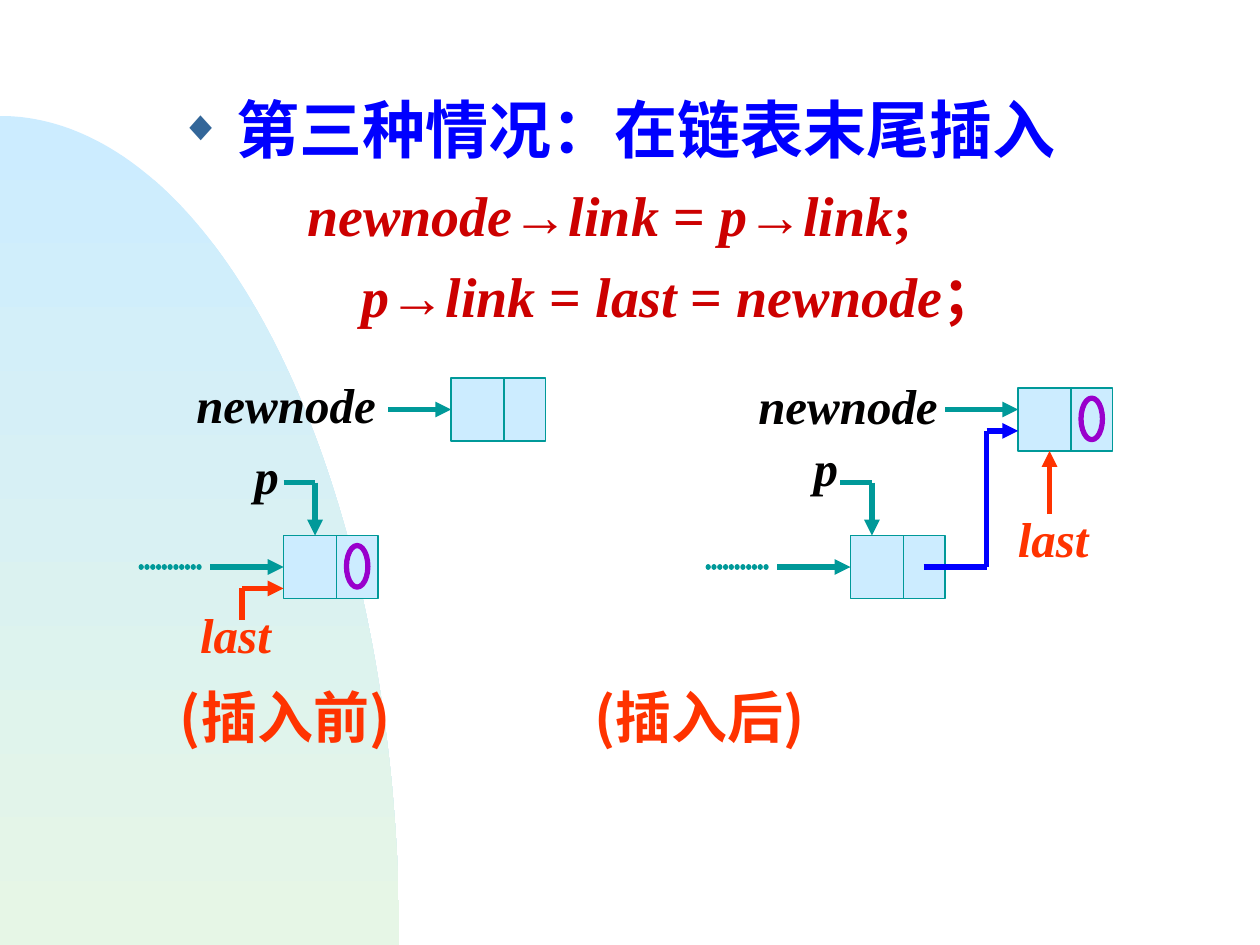
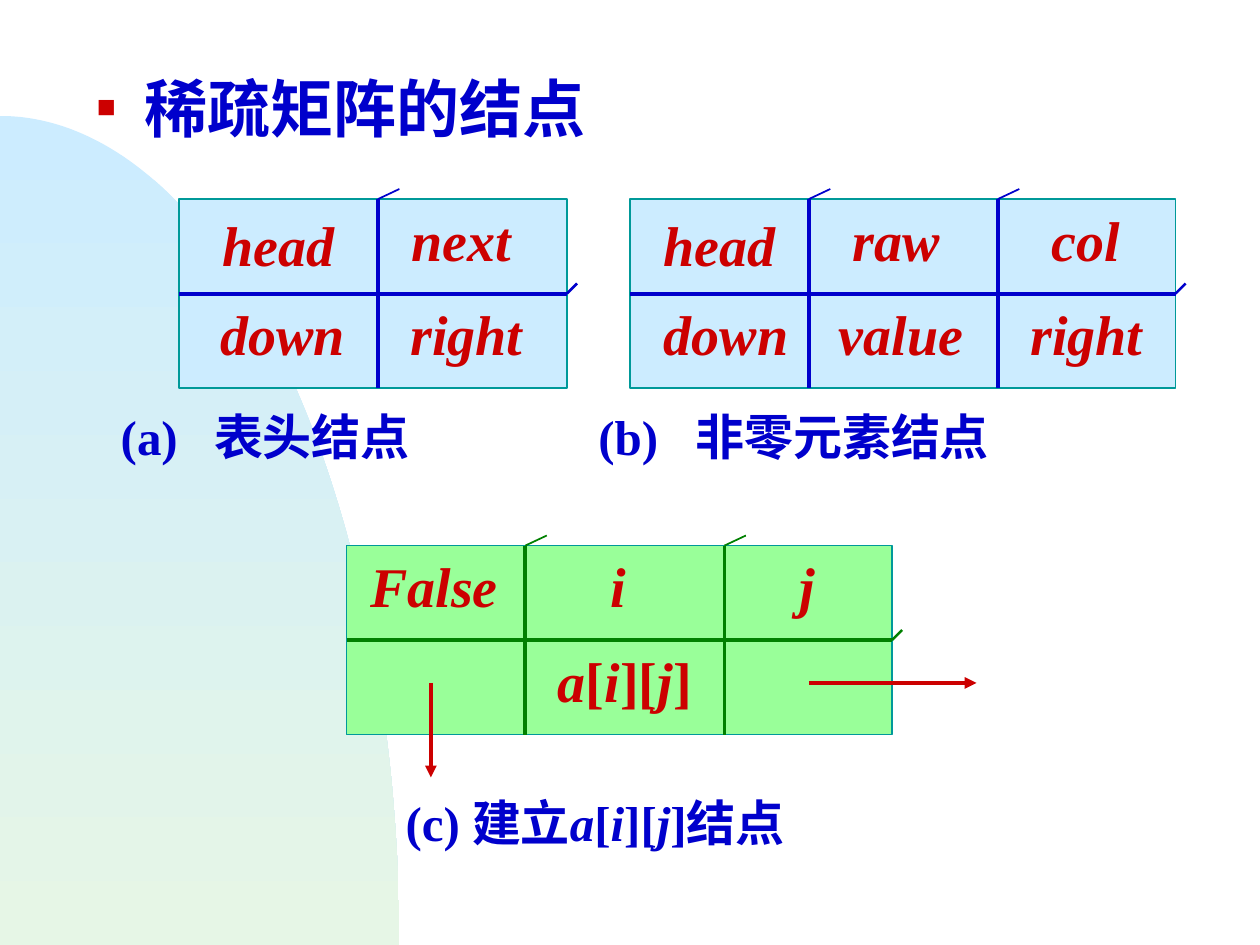
from math import cos, pi, sin

from lxml import etree
from pptx import Presentation
from pptx.dml.color import RGBColor
from pptx.enum.shapes import MSO_CONNECTOR, MSO_SHAPE
from pptx.enum.text import PP_ALIGN
from pptx.oxml.ns import qn
from pptx.util import Inches, Pt

COLORS = {
    "sky": "CCECFF", "mint": "E6F6E6", "teal": "009999", "black": "010000",
    "red": "CC0000", "orange": "FF3300", "blue": "0000FF", "navy": "0000CC",
    "purple": "9900CC", "steel": "336699", "lime": "99FF99", "green": "008000",
}
SERIF, SANS = "Times New Roman", "Noto Sans CJK SC"
LEFT, RIGHT = 1, 3  # connection sites of a rectangle
LABEL_SLACK = 0.12  # spare width that keeps a label on one line

# Slide 1: insertion at the end of a linked list. Text between * is italic.
INSERT_TITLE = "第三种情况：在链表末尾插入"
INSERT_CODE = [  # left margin, statement
    (1.51, "*newnode*→*link* = *p*→*link*;"),
    (1.94, "*p*→*link* = *last* = *newnode*；"),
]
CAPTIONS = [(1.33, "(插入前)"), (4.62, "(插入后)")]
NODE_W, NODE_H, DATA_W = 0.75, 0.5, 0.42
LIST_NODES = {  # left, top, holds a null link
    "new before": (3.58, 3, False),
    "tail before": (2.25, 4.25, True),
    "tail after": (6.75, 4.25, False),
    "new after": (8.08, 3.08, True),
}
POINTER_LABELS = [  # text, left, top, width, colour
    ("newnode", 1.46, 2.92, 1.62, "black"),
    ("newnode", 5.92, 2.93, 1.62, "black"),
    ("p", 1.92, 3.49, 0.39, "black"),
    ("p", 6.36, 3.42, 0.39, "black"),
    ("last", 1.49, 4.75, 0.76, "orange"),
    ("last", 7.98, 3.99, 0.76, "orange"),
]
POINTERS = [  # colour, corner points, node joined at its left side
    ("teal", [(3.08, 3.25), (3.58, 3.25)], "new before"),
    ("teal", [(1.67, 4.5), (2.25, 4.5)], "tail before"),
    ("teal", [(6.17, 4.5), (6.75, 4.5)], "tail after"),
    ("teal", [(7.5, 3.25), (8.08, 3.25)], None),
    ("teal", [(2.25, 3.83), (2.5, 3.83), (2.5, 4.25)], None),
    ("teal", [(6.67, 3.83), (6.92, 3.83), (6.92, 4.25)], None),
    ("orange", [(1.92, 4.92), (1.92, 4.67), (2.25, 4.67)], None),
    ("orange", [(8.33, 4.08), (8.33, 3.58)], None),
    ("blue", [(7.33, 4.5), (7.83, 4.5), (7.83, 3.42), (8.08, 3.42)], None),
]
EARLIER_NODES = [1.08, 5.58]  # left ends of the dotted lines

# Slide 2: the nodes of a sparse matrix.
MATRIX_TITLE = "稀疏矩阵的结点"
MATRIX_NODES = [
    dict(left=1.42, top=1.58, width=3.08, dividers=[3], fill="sky", rule="navy",
         fields=[("*head*", 1.67, 1.62, 1.09), ("*next*", 3.17, 1.58, 0.99),
                 ("*down*", 1.65, 2.33, 1.19), ("*right*", 3.16, 2.33, 1.09)]),
    dict(left=5, top=1.58, width=4.33, dividers=[6.42, 7.92], fill="sky", rule="navy",
         fields=[("*head*", 5.17, 1.62, 1.09), ("*raw*", 6.67, 1.58, 0.89),
                 ("*col*", 8.25, 1.58, 0.74), ("*down*", 5.17, 2.33, 1.19),
                 ("*value*", 6.56, 2.33, 1.19), ("*right*", 8.08, 2.33, 1.09)]),
    dict(left=2.75, top=4.33, width=4.33, dividers=[4.17, 5.75], fill="lime", rule="green",
         fields=[("*False*", 2.84, 4.33, 1.21), ("*i*", 4.75, 4.33, 0.32),
                 ("*j*", 6.25, 4.33, 0.32), ("*a*[*i*][*j*]", 4.33, 5.08, 1.26)]),
]
MATRIX_NODE_H = 1.5
MATRIX_LINKS = [((3.42, 5.42), (3.42, 6.17)), ((6.42, 5.42), (7.75, 5.42))]
MATRIX_CAPTIONS = [  # text, left, top, width, tab stop
    ("(a)\t表头结点", 0.86, 3.18, 2.6, 0.74),
    ("(b)\t非零元素结点", 4.65, 3.18, 3.4, 0.77),
    ("(c) 建立*a*[*i*][*j*]结点", 3.12, 6.24, 3.59, None),
]


def rgb(color):
    return RGBColor.from_string(COLORS[color])


def add_runs(paragraph, marked, size, color, font=SERIF):
    """Add one run for each stretch of upright or *italic* text."""
    for index, piece in enumerate(marked.split("*")):
        if not piece:
            continue
        run = paragraph.add_run()
        run.text = piece
        run.font.size, run.font.name = Pt(size), font
        run.font.bold, run.font.italic = True, index % 2 == 1
        run.font.color.rgb = rgb(color)
        etree.SubElement(run._r.get_or_add_rPr(), qn("a:ea"), typeface=SANS)


def set_indent(paragraph, margin, first=0.0):
    properties = paragraph._p.get_or_add_pPr()
    properties.set("marL", str(Inches(margin)))
    properties.set("indent", str(Inches(first)))
    return properties


def add_text_frame(slide, left, top, width, height, wrap=False):
    frame = slide.shapes.add_textbox(
        Inches(left), Inches(top), Inches(width), Inches(height)).text_frame
    frame.word_wrap = wrap
    frame.paragraphs[0].alignment = PP_ALIGN.LEFT
    return frame


def add_label(slide, marked, left, top, width, size, color, font=SERIF, tab=None):
    height = round(size * 1.2 / 72 + 0.1, 2)
    frame = add_text_frame(slide, left, top, width + LABEL_SLACK, height)
    paragraph = frame.paragraphs[0]
    if tab:
        tabs = etree.SubElement(paragraph._p.get_or_add_pPr(), qn("a:tabLst"))
        etree.SubElement(tabs, qn("a:tab"), pos=str(Inches(tab)), algn="l")
    add_runs(paragraph, marked, size, color, font)


def add_title(frame, title, color, margin, first, bullet, bullet_color, percent):
    paragraph = frame.paragraphs[0]
    properties = set_indent(paragraph, margin, first)
    tint = etree.SubElement(properties, qn("a:buClr"))
    etree.SubElement(tint, qn("a:srgbClr"), val=COLORS[bullet_color])
    etree.SubElement(properties, qn("a:buSzPct"), val=str(percent * 1000))
    etree.SubElement(properties, qn("a:buFont"), typeface=SERIF)
    etree.SubElement(properties, qn("a:buChar"), char=bullet)
    add_runs(paragraph, title, 36, color)


def add_box(slide, left, top, width, height, fill, line="teal", weight=0.75,
            kind=MSO_SHAPE.RECTANGLE):
    box = slide.shapes.add_shape(
        kind, Inches(left), Inches(top), Inches(width), Inches(height))
    box.shadow.inherit = False
    box.fill.solid()
    box.fill.fore_color.rgb = rgb(fill)
    box.line.color.rgb = rgb(line)
    box.line.width = Pt(weight)
    return box


def add_line(slide, start, end, color, weight, arrow=False):
    line = slide.shapes.add_connector(
        MSO_CONNECTOR.STRAIGHT, *(Inches(value) for value in (*start, *end)))
    line.line.color.rgb = rgb(color)
    line.line.width = Pt(weight)
    etree.SubElement(line._element.spPr, qn("a:effectLst"))
    if arrow:
        etree.SubElement(line.line._get_or_add_ln(), qn("a:tailEnd"), type="triangle")
    return line


def add_dotted_line(slide, start, end, color, weight):
    """Draw a row of round dots that almost touch."""
    outline = add_line(slide, start, end, color, weight).line._get_or_add_ln()
    outline.set("cap", "rnd")
    dashes = etree.SubElement(outline, qn("a:custDash"))
    etree.SubElement(dashes, qn("a:ds"), d="100000", sp="10000")


def add_slide(deck):
    """Add a blank slide with the shaded quarter ellipse at its lower left."""
    slide = deck.slides.add_slide(deck.slide_layouts[6])
    radius_x, radius_y, bottom, steps = 3.17, 6.58, 7.5, 90
    angles = [pi / 2 * step / steps for step in range(steps + 1)]
    rim = [(Inches(radius_x * sin(a)), Inches(bottom - radius_y * cos(a))) for a in angles]
    builder = slide.shapes.build_freeform(*rim[0])
    builder.add_line_segments(rim[1:] + [(0, Inches(bottom))], close=True)
    hill = builder.convert_to_shape()
    hill.shadow.inherit = False
    hill.line.fill.background()
    hill.fill.gradient()
    hill.fill.gradient_angle = 270
    for stop, color, position in zip(hill.fill.gradient_stops, ("sky", "mint"), (0, 1)):
        stop.color.rgb = rgb(color)
        stop.position = position
    return slide


def add_list_node(slide, left, top, null_link):
    node = add_box(slide, left, top, NODE_W, NODE_H, "sky")
    middle = left + DATA_W
    add_line(slide, (middle, top), (middle, top + NODE_H), "teal", 0.75)
    if null_link:
        add_box(slide, middle + 0.08, top + 0.08, 0.17, 0.33, "sky", "purple", 3,
                MSO_SHAPE.OVAL)
    return node


def build_insertion(deck):
    slide = add_slide(deck)
    frame = add_text_frame(slide, 0.83, 0.67, 8.75, 2.2, wrap=True)
    add_title(frame, INSERT_TITLE, "blue", 0.95, -0.45, "◆", "steel", 68)
    for margin, statement in INSERT_CODE:
        paragraph = frame.add_paragraph()
        set_indent(paragraph, margin)
        paragraph.space_before = Pt(8)
        add_runs(paragraph, statement, 32, "red")

    nodes = {name: add_list_node(slide, *place) for name, place in LIST_NODES.items()}
    for color, corners, target in POINTERS:
        for start, end in zip(corners, corners[1:]):
            line = add_line(slide, start, end, color, 3, arrow=end == corners[-1])
        if target:
            line.end_connect(nodes[target], LEFT)
    for left in EARLIER_NODES:
        add_dotted_line(slide, (left + 0.5, 4.5), (left, 4.5), "teal", 3)
    for text, left, top, width, color in POINTER_LABELS:
        add_label(slide, f"*{text}*", left, top, width, 28, color)
    for left, caption in CAPTIONS:
        add_label(slide, caption, left, 5.37, 2.1, 32, "orange", SANS)


def add_matrix_node(slide, left, top, width, dividers, fill, rule, fields):
    node = add_box(slide, left, top, width, MATRIX_NODE_H, fill)
    right, middle = left + width, top + MATRIX_NODE_H / 2
    row_rule = add_line(slide, (left, middle), (right, middle), rule, 2.25)
    row_rule.begin_connect(node, LEFT)
    row_rule.end_connect(node, RIGHT)
    add_line(slide, (right, middle), (right + 0.08, middle - 0.08), rule, 1.5)
    for x in dividers:
        add_line(slide, (x, top), (x, top + MATRIX_NODE_H), rule, 2.25)
        add_line(slide, (x, top), (x + 0.17, top - 0.08), rule, 1)
    for field in fields:
        add_label(slide, *field, 32, "red")


def build_matrix(deck):
    slide = add_slide(deck)
    frame = add_text_frame(slide, 0.67, 0.5, 9.08, 0.85, wrap=True)
    add_title(frame, MATRIX_TITLE, "navy", 0.38, -0.38, "■", "red", 50)
    for node in MATRIX_NODES:
        add_matrix_node(slide, **node)
    for start, end in MATRIX_LINKS:
        add_line(slide, start, end, "red", 2.25, arrow=True)
    for text, left, top, width, tab in MATRIX_CAPTIONS:
        add_label(slide, text, left, top, width, 28, "navy", tab=tab)


def main():
    deck = Presentation()
    deck.slide_width, deck.slide_height = Inches(10), Inches(7.5)
    build_insertion(deck)
    build_matrix(deck)
    deck.save("out.pptx")


if __name__ == "__main__":
    main()
